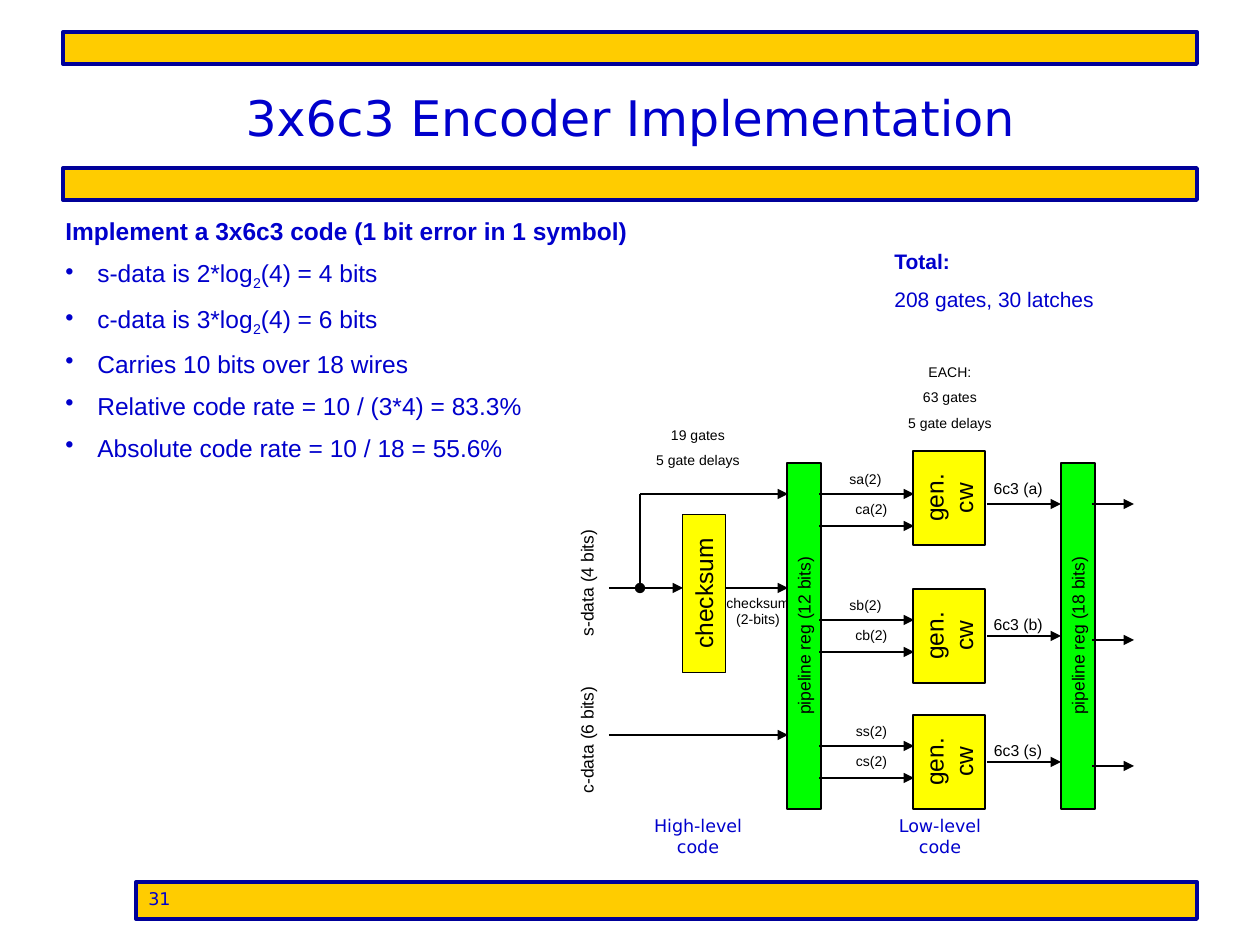
"""Build the 3x6c3 encoder implementation slide."""
from dataclasses import dataclass
from typing import NamedTuple, Optional

from lxml import etree
from pptx import Presentation
from pptx import util as u
from pptx.dml.color import RGBColor
from pptx.enum import shapes, text
from pptx.oxml import ns

SCALE = u.Inches(1) / 126
LEFT, CENTER = text.PP_ALIGN.LEFT, text.PP_ALIGN.CENTER
ROTATED_LEFT, ROTATED_RIGHT = 0, 2


@dataclass(frozen=True)
class Theme:
    blue: str = "0000CC"
    navy: str = "000099"
    gold: str = "FFCC00"
    yellow: str = "FFFF00"
    green: str = "00FF00"
    black: str = "000000"
    sans: str = "Arial"
    display: str = "DejaVu Sans"
    title: int = 28
    body: int = 14
    total: int = 12
    label: int = 10
    output: int = 9
    small: int = 8
    thin: float = 0.75
    thick: float = 2.25


THEME = Theme()


class Frame(NamedTuple):
    left: int
    top: int
    width: int
    height: int


class Span(NamedTuple):
    words: str
    bold: bool = False
    subscript: bool = False


@dataclass(frozen=True)
class Style:
    size: int
    color: str = THEME.black
    font: str = THEME.sans
    align: text.PP_ALIGN = CENTER
    before: float = 0
    after: float = 0
    indent: int = 0


class Stage(NamedTuple):
    suffix: str
    input_y: int
    box_top: int
    output_y: int
    label_top: int
    exit_y: int
    label_left: int
    label_width: int


SMALL = Style(THEME.small, before=5)
LABEL = Style(THEME.label)
BOX = Style(THEME.body)
OUTPUT = Style(THEME.output)
CAPTION = Style(THEME.label, THEME.blue, THEME.display)
NUMBER = Style(THEME.label, THEME.blue, THEME.display, LEFT)
TITLE = Style(THEME.title, THEME.blue, THEME.display)
TOTAL = Style(THEME.total, THEME.blue, align=LEFT, before=7.5)
BODY = Style(THEME.body, THEME.blue, align=LEFT, after=7, indent=32)

STAGES = (
    Stage("a", 494, 462, 504, 473, 504, 829, 73),
    Stage("b", 620, 600, 636, 609, 640, 829, 73),
    Stage("s", 746, 726, 762, 735, 766, 840, 63),
)
BULLETS = (
    (Span("s-data is 2*log"), Span("2", subscript=True), Span("(4) = 4 bits")),
    (Span("c-data is 3*log"), Span("2", subscript=True), Span("(4) = 6 bits")),
    (Span("Carries 10 bits over 18 wires"),),
    (Span("Relative code rate = 10 / (3*4) = 83.3%"),),
    (Span("Absolute code rate = 10 / 18 = 55.6%"),),
)


def px(length: float) -> int:
    """Turn pixels into EMU."""
    return round(length * SCALE)


def apply(target, values: dict) -> None:
    """Set each named attribute on the target."""
    for name, value in values.items():
        setattr(target, name, value)


def place(shape, frame: Frame, rotation: int = 0) -> None:
    """Put a shape at its frame."""
    apply(shape, {name: px(value) for name, value in frame._asdict().items()})
    shape.rotation = rotation


def write(shape, style: Style, *paragraphs: tuple, anchor=text.MSO_ANCHOR.TOP,
          fit=text.MSO_AUTO_SIZE.SHAPE_TO_FIT_TEXT, bulleted: bool = False) -> None:
    """Fill a shape with styled paragraphs of spans."""
    body = shape.text_frame
    apply(body, {"word_wrap": True, "auto_size": fit, "vertical_anchor": anchor})
    for index, spans in enumerate(paragraphs):
        para = body.add_paragraph() if index else body.paragraphs[0]
        apply(para, {"alignment": style.align, "space_after": u.Pt(style.after),
                     "space_before": u.Pt(style.before if index else 0)})
        if style.indent:
            properties = para._p.get_or_add_pPr()
            properties.set("marL", str(px(style.indent)))
            properties.set("indent", str(-px(style.indent)))
            if bulleted and index:
                color = etree.SubElement(properties, ns.qn("a:buClr"))
                etree.SubElement(color, ns.qn("a:srgbClr"), val=style.color)
                etree.SubElement(properties, ns.qn("a:buChar"), char="•")
        for span in spans:
            run = para.add_run()
            run.text = span.words
            apply(run.font, {"size": u.Pt(style.size), "name": style.font, "bold": span.bold})
            run.font.color.rgb = RGBColor.from_string(style.color)
            if span.subscript:
                run.font._element.set("baseline", "-25000")


def add_label(page, frame: Frame, style: Style, *lines: str, rotation: int = 0) -> None:
    """Add a text box with one paragraph per line."""
    box = page.shapes.add_textbox(0, 0, 0, 0)
    place(box, frame, rotation)
    write(box, style, *((Span(line),) for line in lines))


def add_box(page, frame: Frame, fill: str, line: str = THEME.black,
            weight: float = THEME.thin, rotation: int = 0):
    """Add a filled and outlined rectangle."""
    box = page.shapes.add_shape(shapes.MSO_SHAPE.RECTANGLE, 0, 0, 0, 0)
    place(box, frame, rotation)
    box.shadow.inherit = False
    box.fill.solid()
    box.fill.fore_color.rgb = RGBColor.from_string(fill)
    box.line.color.rgb = RGBColor.from_string(line)
    box.line.width = u.Pt(weight)
    return box


def add_block(page, frame: Frame, fill: str, style: Style, words: str):
    """Add a diagram block that reads upwards."""
    block = add_box(page, frame, fill, rotation=270)
    write(block, style, (Span(words),))
    return block


def add_wire(page, start: tuple, finish: tuple, head: Optional[str] = None,
             tail: Optional[str] = "triangle", source=None, target=None) -> None:
    """Add a wire, joined to upward-reading blocks where given."""
    ends = [px(value) for value in (*start, *finish)]
    wire = page.shapes.add_connector(shapes.MSO_CONNECTOR.STRAIGHT, *ends)
    if source:
        wire.begin_connect(source, ROTATED_RIGHT)
    if target:
        wire.end_connect(target, ROTATED_LEFT)
    apply(wire, dict(zip(("begin_x", "begin_y", "end_x", "end_y"), ends)))
    wire.line.color.rgb = RGBColor.from_string(THEME.black)
    wire.line.width = u.Pt(THEME.thin)
    properties = wire._element.spPr
    outline = properties.find(ns.qn("a:ln"))
    for tag, kind in (("a:headEnd", head), ("a:tailEnd", tail)):
        if kind:
            etree.SubElement(outline, ns.qn(tag), type=kind)
    etree.SubElement(properties, ns.qn("a:effectLst"))


def add_stage(page, stage: Stage, register) -> None:
    """Add one code word generator with its wires and labels."""
    frame = Frame(902, stage.box_top, 94, 72)
    generator = add_block(page, frame, THEME.yellow, BOX, "gen. cw")
    inputs = (("s", stage.label_left, stage.label_width), ("c", 840, 63))
    for index, (prefix, left, width) in enumerate(inputs):
        wire_y = stage.input_y + round(31.5 * index)
        add_wire(page, (819, wire_y), (914, wire_y))
        add_label(page, Frame(left, stage.input_y - 30 + 30 * index, width, 30), SMALL,
                  f"{prefix}{stage.suffix}(2)")
    middle = frame.top + frame.height // 2
    register_middle = 636
    add_wire(page, (987, stage.output_y), (1061, stage.output_y),
             source=generator if stage.output_y == middle else None,
             target=register if stage.output_y == register_middle else None)
    add_label(page, Frame(976, stage.label_top, 84, 32), OUTPUT, f"6c3 ({stage.suffix})")
    add_wire(page, (1092, stage.exit_y), (1134, stage.exit_y))


def add_checksum(page) -> None:
    """Add the high-level half of the encoder."""
    for top, words in ((566, "s-data (4 bits)"), (723, "c-data (6 bits)")):
        add_label(page, Frame(508, top, 158, 34), LABEL, words, rotation=270)
    add_block(page, Frame(625, 572, 158, 43), THEME.yellow, BOX, "checksum")
    add_wire(page, (609, 588), (683, 588))
    add_wire(page, (725, 588), (788, 588))
    add_wire(page, (640, 588), (640, 494), head="oval", tail=None)
    add_wire(page, (640, 494), (788, 494))
    add_wire(page, (609, 735), (788, 735))
    add_label(page, Frame(711, 588, 94, 47), SMALL, "checksum (2-bits)")
    add_label(page, Frame(630, 420, 136, 55), SMALL, "19 gates", "5 gate delays")


def main() -> None:
    """Build and save the deck."""
    deck = Presentation()
    deck.slide_width, deck.slide_height = px(1260), px(945)
    page = deck.slides.add_slide(deck.slide_layouts[5])
    for top in (168, 32):
        add_box(page, Frame(63, top, 1134, 32), THEME.gold, THEME.navy, THEME.thick)
    title = page.shapes.title
    place(title, Frame(63, 38, 1134, 158))
    write(title, TITLE, (Span("3x6c3 Encoder Implementation"),),
          anchor=text.MSO_ANCHOR.MIDDLE, fit=text.MSO_AUTO_SIZE.NONE)
    add_checksum(page)
    registers = [add_block(page, Frame(left, 619, 346, 34), THEME.green, LABEL,
                           f"pipeline reg ({bits} bits)")
                 for left, bits in ((631, 12), (905, 18))]
    for stage in STAGES:
        add_stage(page, stage, registers[1])
    add_label(page, Frame(882, 357, 136, 81), SMALL, "EACH:", "63 gates", "5 gate delays")
    body = page.shapes.add_textbox(0, 0, 0, 0)
    place(body, Frame(53, 210, 620, 258))
    heading = (Span("Implement a 3x6c3 code (1 bit error in 1 symbol)", bold=True),)
    write(body, BODY, heading, *BULLETS, bulleted=True)
    total = page.shapes.add_textbox(0, 0, 0, 0)
    place(total, Frame(882, 242, 273, 77))
    write(total, TOTAL, (Span("Total:", bold=True),), (Span("208 gates, 30 latches"),))
    for left, words in ((630, "High-level code"), (872, "Low-level code")):
        add_label(page, Frame(left, 809, 136, 55), CAPTION, words)
    footer = add_box(page, Frame(136, 882, 1061, 37), THEME.gold, THEME.navy, THEME.thick)
    write(footer, NUMBER, (Span("31"),), fit=text.MSO_AUTO_SIZE.NONE)
    deck.save("out.pptx")


if __name__ == "__main__":
    main()
